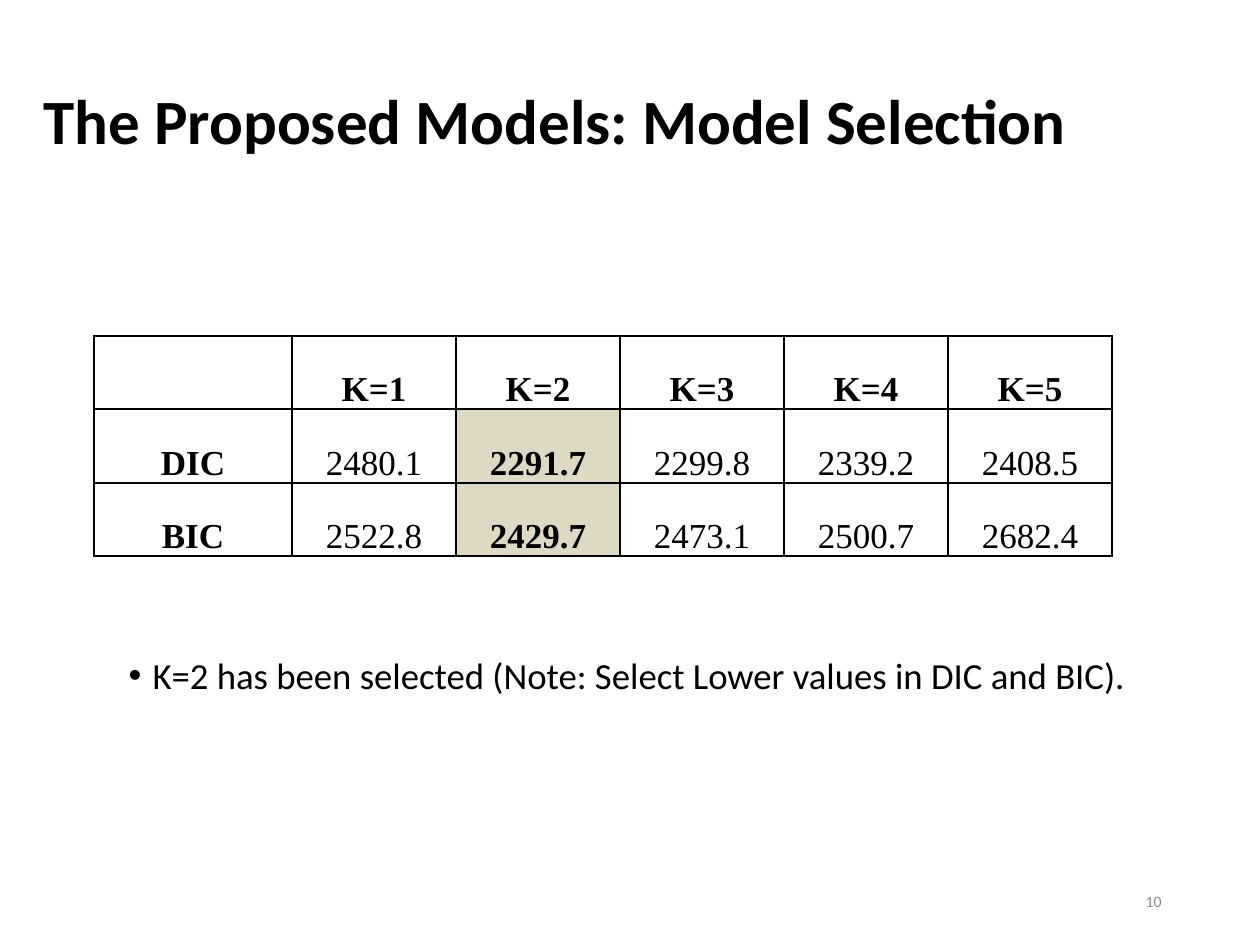
"""Build the model selection slide with its DIC and BIC table."""
from dataclasses import dataclass

from lxml import etree
from pptx import Presentation
from pptx.dml.color import RGBColor
from pptx.enum import text
from pptx.oxml import parse_xml
from pptx.oxml.ns import nsdecls, qn
from pptx import util as u


@dataclass(frozen=True)
class Theme:
    ink: str = "000000"
    paper: str = "FFFFFF"
    muted: str = "8C8C8C"
    chosen: str = "DDD9C3"
    sans: str = "Calibri"
    serif: str = "Times New Roman"
    title_size: int = 36
    note_size: int = 21
    cell_size: int = 20
    number_size: int = 9


theme = Theme()


def px(count):
    return u.Emu(round(count * 914400 / 126))


def write(paragraph, words, face, size, color, bold=False):
    run = paragraph.add_run()
    run.text = words
    run.font.name = face
    run.font.size = u.Pt(size)
    run.font.bold = bold
    run.font.color.rgb = RGBColor.from_string(color)


deck = Presentation()
deck.slide_width, deck.slide_height = px(1260), px(945)
slide = deck.slides.add_slide(deck.slide_layouts[1])
slide.background.fill.solid()
slide.background.fill.fore_color.rgb = RGBColor.from_string(theme.paper)

heading = slide.shapes.title
note = slide.placeholders[1]
page = slide.shapes.add_textbox(px(890), px(876), px(284), px(50))

heading.left, heading.top, heading.width, heading.height = px(31), px(39), px(1219), px(170)
note.left, note.top, note.width, note.height = px(116), px(651), px(1040), px(73)

for box, anchor, align, spacing in (
    (heading, text.MSO_ANCHOR.MIDDLE, text.PP_ALIGN.LEFT, 0.9),
    (note, text.MSO_ANCHOR.TOP, text.PP_ALIGN.LEFT, 0.9),
    (page, text.MSO_ANCHOR.MIDDLE, text.PP_ALIGN.RIGHT, 1.0),
):
    frame = box.text_frame
    frame.word_wrap = True
    frame.auto_size = text.MSO_AUTO_SIZE.NONE
    frame.vertical_anchor = anchor
    line = frame.paragraphs[0]
    line.alignment = align
    line.line_spacing = spacing
    line.space_before = u.Pt(0)

write(heading.text_frame.paragraphs[0], "The Proposed Models: Model Selection",
      theme.sans, theme.title_size, theme.ink, True)

selection = note.text_frame.paragraphs[0]
indents = selection._p.get_or_add_pPr()
indents.set("marL", str(px(24)))
indents.set("indent", str(-px(24)))
etree.SubElement(indents, qn("a:buFont")).set("typeface", "Arial")
etree.SubElement(indents, qn("a:buChar")).set("char", "•")
write(selection, "K=2 has been selected (Note: Select Lower values in DIC and BIC).",
      theme.sans, theme.note_size, theme.ink)

write(page.text_frame.paragraphs[0], "10", theme.sans, theme.number_size, theme.muted)

criteria = [
    ["", "K=1", "K=2", "K=3", "K=4", "K=5"],
    ["DIC", "2480.1", "2291.7", "2299.8", "2339.2", "2408.5"],
    ["BIC", "2522.8", "2429.7", "2473.1", "2500.7", "2682.4"],
]
chosen_column = criteria[0].index("K=2")
column_widths = [198] + [164] * 5
row_heights = [73, 74, 73]

scores = slide.shapes.add_table(
    len(row_heights), len(column_widths), px(94), px(336),
    px(sum(column_widths)), px(sum(row_heights))).table
for column, width in zip(scores.columns, column_widths):
    column.width = px(width)
for row, height in zip(scores.rows, row_heights):
    row.height = px(height)

for r, values in enumerate(criteria):
    for c, value in enumerate(values):
        cell = scores.cell(r, c)
        cell.margin_left = cell.margin_right = px(9)
        cell.margin_top = cell.margin_bottom = 0
        cell.vertical_anchor = text.MSO_ANCHOR.BOTTOM
        for side in ("lnL", "lnR", "lnT", "lnB"):
            cell._tc.get_or_add_tcPr().append(parse_xml(
                f'<a:{side} {nsdecls("a")} w="{u.Pt(1)}"><a:solidFill>'
                f'<a:srgbClr val="{theme.ink}"/></a:solidFill></a:{side}>'))
        chosen = r > 0 and c == chosen_column
        cell.fill.solid()
        cell.fill.fore_color.rgb = RGBColor.from_string(theme.chosen if chosen else theme.paper)
        if value:
            entry = cell.text_frame.paragraphs[0]
            entry.alignment = text.PP_ALIGN.CENTER
            entry.line_spacing = 1.15
            write(entry, value, theme.serif, theme.cell_size, theme.ink,
                  r == 0 or c == 0 or chosen)

deck.save("out.pptx")
